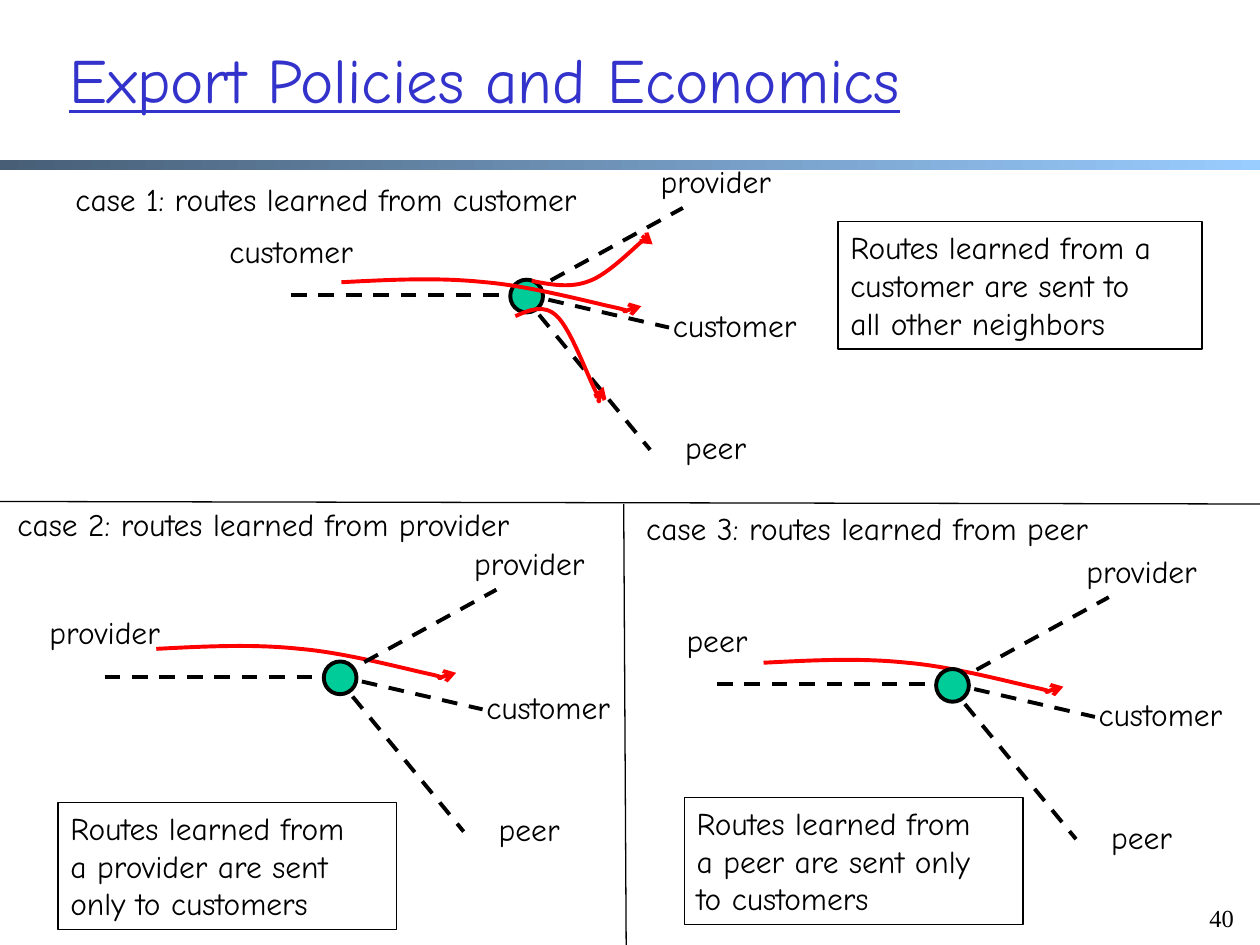
from dataclasses import dataclass

from lxml import etree
from pptx import Presentation
from pptx.dml.color import RGBColor
from pptx.enum.dml import MSO_LINE
from pptx.enum.shapes import MSO_CONNECTOR, MSO_SHAPE
from pptx.enum.text import MSO_ANCHOR, PP_ALIGN
from pptx.oxml.ns import qn
from pptx.util import Inches, Pt

LEFT, CENTER = PP_ALIGN.LEFT, PP_ALIGN.CENTER
TOP, MIDDLE = MSO_ANCHOR.TOP, MSO_ANCHOR.MIDDLE
DASH = MSO_LINE.DASH
STRAIGHT = MSO_CONNECTOR.STRAIGHT
RECTANGLE, OVAL = MSO_SHAPE.RECTANGLE, MSO_SHAPE.OVAL
TITLE_ONLY = 5


@dataclass(frozen=True)
class Theme:
    ink: RGBColor = RGBColor(0x00, 0x00, 0x00)
    title: RGBColor = RGBColor(0x33, 0x33, 0xCC)
    router: RGBColor = RGBColor(0x00, 0xCC, 0x99)
    route: RGBColor = RGBColor(0xFF, 0x00, 0x00)
    bar: tuple = (RGBColor(0x47, 0x5E, 0x76), RGBColor(0x99, 0xCC, 0xFF))
    font: str = "Comic Neue"
    number_font: str = "Times New Roman"
    title_size: int = 36
    text_size: int = 18
    number_size: int = 14
    thick: float = 2.25
    thin: float = 0.75


THEME = Theme()

LABEL_WIDTHS = {"customer": 1.28, "provider": 1.18, "peer": 0.73}
LABEL_HEIGHT = 0.4
LINKS = [
    ((0, 0), (1.9, 0)),
    ((1.87, -0.01), (3.11, -0.69)),
    ((1.83, -0.01), (3, 0.26)),
    ((1.83, -0.01), (2.85, 1.23)),
]
NEIGHBORS = [("provider", 3.37, -1.1), ("customer", 3.52, 0.04), ("peer", 3.37, 1.01)]

ACROSS = [
    (0, 0), (0.39, -0.02), (0.77, -0.04), (1.14, 0), (1.5, 0.03), (1.98, 0.16), (2.17, 0.2),
    (2.35, 0.24), (2.21, 0.23), (2.25, 0.23), (2.28, 0.22), (2.29, 0.21), (2.38, 0.19),
]
TO_PROVIDER = [
    (0, 0), (0.15, 0.03), (0.31, 0.06), (0.46, 0), (0.6, -0.05), (0.8, -0.25), (0.87, -0.31),
    (0.95, -0.37), (0.89, -0.35), (0.91, -0.34), (0.92, -0.34), (0.92, -0.32), (0.96, -0.29),
]
TO_PEER = [
    (0, 0), (0.11, -0.05), (0.23, -0.1), (0.33, 0), (0.44, 0.1), (0.58, 0.49), (0.64, 0.6),
    (0.69, 0.71), (0.65, 0.67), (0.66, 0.67), (0.67, 0.66), (0.67, 0.61), (0.7, 0.56),
]
ROUTES = [
    (1.24, 5.15, ACROSS),
    (2.71, 2.24, ACROSS),
    (4.22, 2.23, TO_PROVIDER),
    (4.09, 2.51, TO_PEER),
    (6.06, 5.26, ACROSS),
]
CASES = [
    ("case 1: routes learned from customer", (0.5, 1.38, 4.56, 0.4),
     "Routes learned from a\vcustomer are sent to\vall other neighbors", (6.65, 1.76, 2.89, 1.01)),
    ("case 2: routes learned from provider", (0.04, 3.96, 4.5, 0.4),
     "Routes learned from\va provider are sent\vonly to customers", (0.46, 6.37, 2.69, 1.01)),
    ("case 3: routes learned from peer", (5.03, 3.99, 4.05, 0.4),
     "Routes learned from\va peer are sent only\vto customers", (5.43, 6.33, 2.69, 1.01)),
]


def inches(values):
    return [Inches(value) for value in values]


def set_all(target, values):
    for name, value in values.items():
        setattr(target, name, value)


def write(shape, text, wrap=False, anchor=TOP, align=LEFT, color=THEME.ink, **font):
    frame = shape.text_frame
    set_all(frame, {"word_wrap": wrap, "vertical_anchor": anchor, "text": text})
    paragraph = frame.paragraphs[0]
    paragraph.alignment = align
    for run in paragraph.runs:
        set_all(run.font, {"name": THEME.font, "size": Pt(THEME.text_size), **font})
        run.font.color.rgb = color


def add_text(shapes, box, text, **style):
    write(shapes.add_textbox(*inches(box)), text, **style)


def set_line(shape, color, width):
    shape.line.color.rgb = color
    shape.line.width = Pt(width)


def add_arrowhead(shape):
    outline = shape.element.spPr.find(qn("a:ln"))
    etree.SubElement(outline, qn("a:tailEnd"), type="arrow")


def add_line(shapes, start, end, width):
    line = shapes.add_connector(STRAIGHT, *inches((*start, *end)))
    set_line(line, THEME.ink, width)
    etree.SubElement(line.element.spPr, qn("a:effectLst"))
    return line


def add_header(slide, title_box, bar_box):
    bar = slide.shapes.add_shape(RECTANGLE, *inches(bar_box))
    bar.shadow.inherit = False
    bar.line.fill.background()
    bar.fill.gradient()
    bar.fill.gradient_angle = 0
    for stop, color, position in zip(bar.fill.gradient_stops, THEME.bar, (0, 1)):
        stop.color.rgb = color
        stop.position = position

    title = slide.shapes.title
    set_all(title, dict(zip(("left", "top", "width", "height"), inches(title_box))))
    write(title, "Export Policies and Economics", wrap=True, anchor=MIDDLE,
          color=THEME.title, size=Pt(THEME.title_size), underline=True)


def add_network(slide, source, left, top):
    network = slide.shapes.add_group_shape().shapes
    for index, ((x1, y1), (x2, y2)) in enumerate(LINKS):
        link = add_line(network, (left + x1, top + y1), (left + x2, top + y2), THEME.thick)
        link.line.dash_style = DASH
        if index == 0:
            add_arrowhead(link)
    for name, center, offset in [(source, 0, -0.55), *NEIGHBORS]:
        width = LABEL_WIDTHS[name]
        box = (left + center - width / 2, top + offset, width, LABEL_HEIGHT)
        add_text(network, box, name, align=CENTER)
    router = network.add_shape(OVAL, *inches((left + 1.74, top - 0.12, 0.26, 0.26)))
    router.shadow.inherit = False
    router.fill.solid()
    router.fill.fore_color.rgb = THEME.router
    set_line(router, THEME.ink, THEME.thick)


def add_route(slide, left, top, offsets):
    start, *points = [inches((left + x, top + y)) for x, y in offsets]
    builder = slide.shapes.build_freeform(*start)
    builder.add_line_segments(points, close=False)
    route = builder.convert_to_shape()
    route.shadow.inherit = False
    route.fill.background()
    set_line(route, THEME.route, THEME.thick)
    add_arrowhead(route)

    segments = list(route.element.iter(qn("a:lnTo")))
    outline = segments[0].getparent()
    for first in range(0, len(segments), 3):
        curve = etree.SubElement(outline, qn("a:cubicBezTo"))
        for segment in segments[first:first + 3]:
            curve.append(segment[0])
            outline.remove(segment)


def add_case(slide, heading, heading_box, rule, rule_box):
    add_text(slide.shapes, heading_box, heading)
    note = slide.shapes.add_shape(RECTANGLE, *inches(rule_box))
    note.shadow.inherit = False
    note.fill.background()
    set_line(note, THEME.ink, THEME.thin)
    write(note, rule, wrap=True)


def main():
    deck = Presentation()
    deck.slide_width, deck.slide_height = inches((10, 7.5))
    slide = deck.slides.add_slide(deck.slide_layouts[TITLE_ONLY])

    add_header(slide, (0.45, 0, 8.5, 1.25), (0, 1.27, 10, 0.08))
    add_network(slide, "customer", 2.31, 2.34)
    for route in ROUTES:
        add_route(slide, *route)
    add_network(slide, "provider", 0.83, 5.37)
    add_network(slide, "peer", 5.69, 5.43)
    for case in CASES:
        add_case(slide, *case)
    add_line(slide.shapes, (0, 3.98), (10, 4), THEME.thin)
    add_line(slide.shapes, (4.95, 4), (4.97, 7.5), THEME.thin)
    add_text(slide.shapes, (9.5, 7.12, 0.5, 0.5), "40", wrap=True,
             name=THEME.number_font, size=Pt(THEME.number_size))
    deck.save("out.pptx")


if __name__ == "__main__":
    main()
